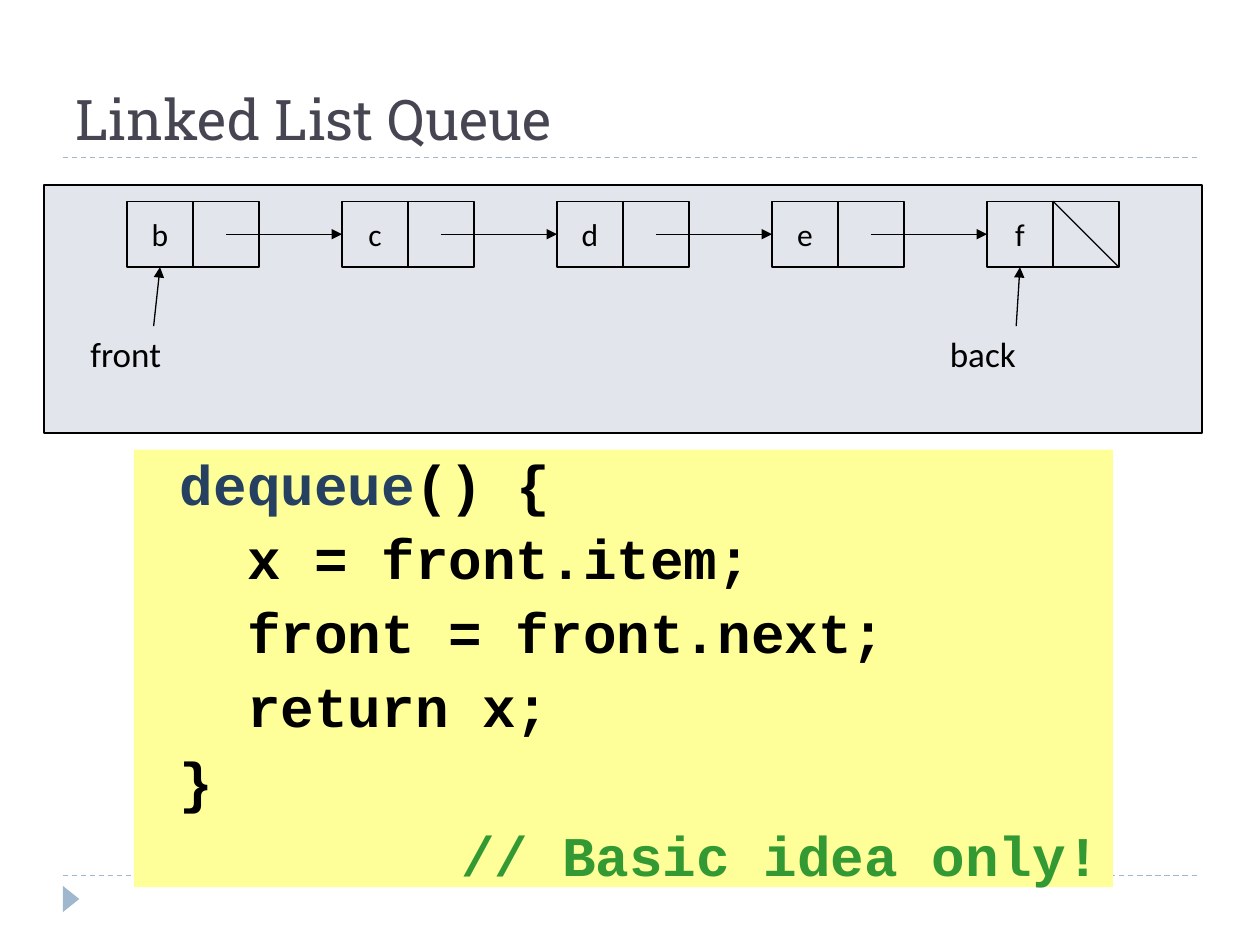
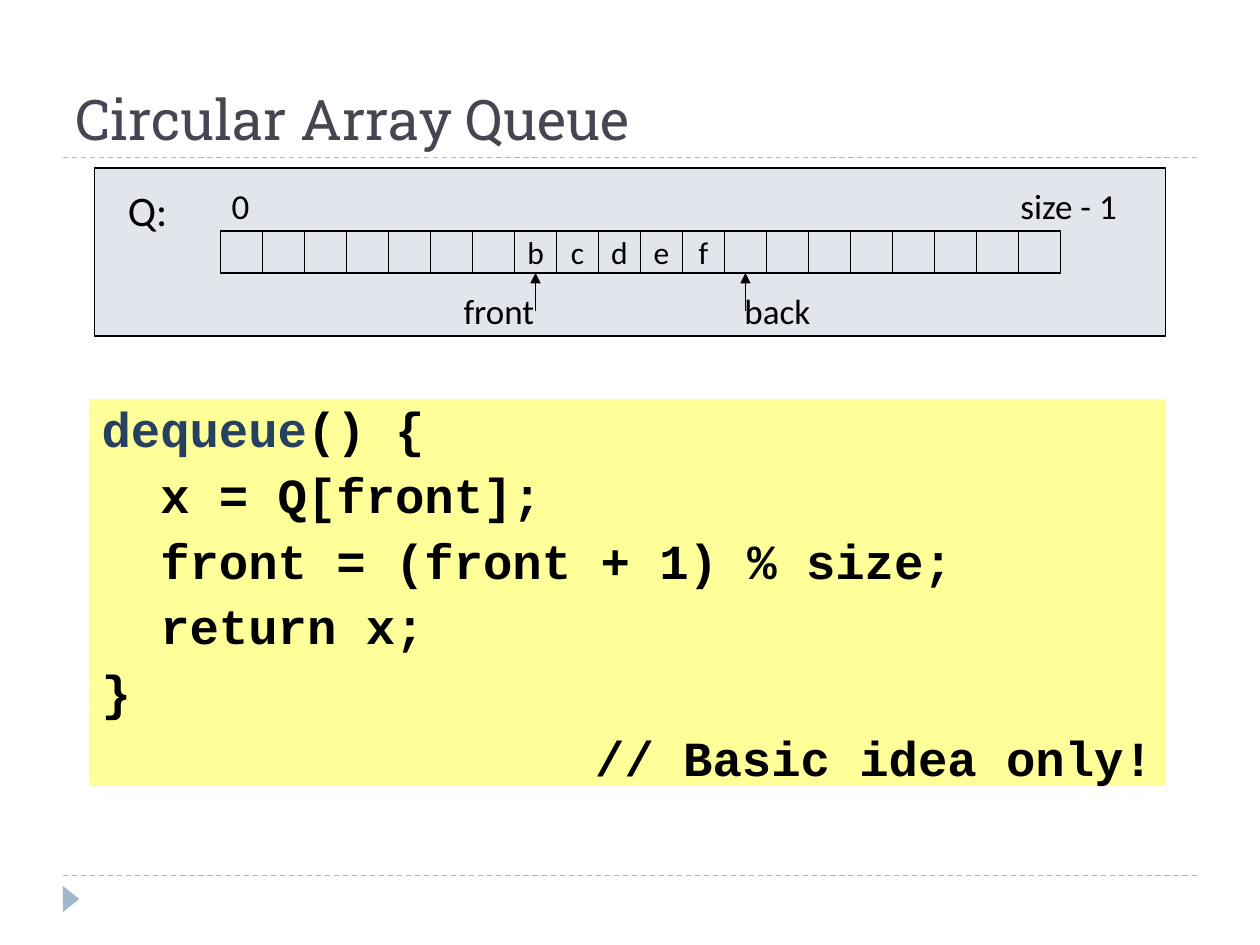
from collections import namedtuple

from lxml.etree import SubElement
from pptx import Presentation
from pptx.dml.color import RGBColor
from pptx.enum.dml import MSO_LINE
from pptx.enum.shapes import MSO_CONNECTOR, MSO_SHAPE
from pptx.enum.text import MSO_ANCHOR, PP_ALIGN
from pptx.oxml.ns import qn
from pptx.util import Pt

BLACK = RGBColor(0x00, 0x00, 0x00)
TITLE_INK = RGBColor(0x46, 0x46, 0x53)
ACCENT = RGBColor(0x9F, 0xB8, 0xCD)
PANEL_FILL = RGBColor(0xE3, 0xE5, 0xED)
CODE_FILL = RGBColor(0xFF, 0xFF, 0x99)
METHOD_INK = RGBColor(0x25, 0x40, 0x61)
COMMENT_INK = RGBColor(0x33, 0x99, 0x33)

TITLE_FONT = "Roboto Slab"
BODY_FONT = "Calibri"
CODE_FONT = "Courier New"
THIN = 0.75

Box = namedtuple("Box", "left top width height")


def style_font(font, name, size, color, bold=False):
    """Set the typeface, size, colour and weight of a font."""
    font.name, font.size, font.bold = name, Pt(size), bold
    font.color.rgb = color


def add_box(page, box, fill=None, outline=BLACK, preset=MSO_SHAPE.RECTANGLE):
    """Draw a preset shape with an optional fill and outline."""
    shape = page.shapes.add_shape(preset, *map(Pt, box))
    shape.shadow.inherit = False
    if fill is None:
        shape.fill.background()
    else:
        shape.fill.solid()
        shape.fill.fore_color.rgb = fill
    if outline is None:
        shape.line.fill.background()
    else:
        shape.line.color.rgb = outline
        shape.line.width = Pt(THIN)
    return shape


def add_cell(page, box, text=""):
    """Draw an outlined cell with an optional centred item."""
    cell = add_box(page, box)
    if text:
        frame = cell.text_frame
        frame.text = text
        frame.word_wrap = False
        frame.vertical_anchor = MSO_ANCHOR.MIDDLE
        para = frame.paragraphs[0]
        para.alignment = PP_ALIGN.CENTER
        style_font(para.runs[0].font, BODY_FONT, 18, BLACK)
    return cell


def add_label(page, box, text, size=20):
    """Place a one-line caption."""
    label = page.shapes.add_textbox(*map(Pt, box))
    label.text_frame.text = text
    label.text_frame.word_wrap = False
    style_font(label.text_frame.paragraphs[0].runs[0].font, BODY_FONT, size, BLACK)
    return label


def add_line(page, start, end, color=BLACK, arrow=False):
    """Draw a straight line, with an arrowhead at its end if asked."""
    line = page.shapes.add_connector(MSO_CONNECTOR.STRAIGHT, *map(Pt, (*start, *end)))
    line.line.color.rgb = color
    line.line.width = Pt(THIN)
    if arrow:
        SubElement(line.line._get_or_add_ln(), qn("a:tailEnd"), type="triangle")
    SubElement(line._element.spPr, qn("a:effectLst"))
    return line


def add_page(deck, title):
    """Add a blank page with the shared rules, marker and title."""
    page = deck.slides.add_slide(deck.slide_layouts[6])
    for height in (500.4, 90):
        rule = add_line(page, (36, height), (684, height), ACCENT)
        rule.line.dash_style = MSO_LINE.DASH
    marker = add_box(page, Box(33.1, 509, 15, 9.4), ACCENT, None, MSO_SHAPE.ISOSCELES_TRIANGLE)
    marker.rotation = 90
    heading = page.shapes.add_textbox(Pt(36), Pt(12), Pt(648), Pt(78))
    frame = heading.text_frame
    frame.text = title
    frame.word_wrap = True
    frame.vertical_anchor = MSO_ANCHOR.BOTTOM
    style_font(frame.paragraphs[0].runs[0].font, TITLE_FONT, 32, TITLE_INK)
    return page


def add_code(page, box, size, margin, body, comment_color):
    """Write the dequeue listing with its closing remark on the right."""
    frame = add_box(page, box, CODE_FILL, None).text_frame
    frame.word_wrap = True
    frame.vertical_anchor = MSO_ANCHOR.MIDDLE
    lines = [[(margin + "dequeue", METHOD_INK), ("() {", BLACK)]]
    lines += [[(margin + "  " + statement, BLACK)] for statement in body]
    lines += [[(margin + "}", BLACK)], [("// Basic idea only!", comment_color)]]
    for number, line in enumerate(lines):
        para = frame.add_paragraph() if number else frame.paragraphs[0]
        para.alignment = PP_ALIGN.LEFT
        para.space_before = Pt(4 if number else 0)
        for text, color in line:
            span = para.add_run()
            span.text = text
            style_font(span.font, CODE_FONT, size, color, bold=True)
    para.alignment = PP_ALIGN.RIGHT


def draw_linked_list(page, box, items):
    """Draw linked nodes with front and back pointers inside a panel."""
    add_box(page, box, PANEL_FILL)
    side, pitch = 37.7, 122.85
    left, top = box.left + 47.4, box.top + 9.3
    middle = top + side / 2
    nodes = []
    for number, item in enumerate(items):
        x = left + number * pitch
        node = add_cell(page, Box(x, top, side, side), item)
        add_cell(page, Box(x + side, top, side, side))
        if nodes:
            link = add_line(page, (x - pitch + 1.5 * side, middle), (x, middle), arrow=True)
            link.end_connect(node, 1)
        nodes.append(node)
    add_line(page, (x + side, top), (x + 2 * side, top + side))

    label_top = box.top + 80.7
    pointers = (("front", 19.4, 86.4, nodes[0]), ("back", 510.5, 90, nodes[-1]))
    for text, offset, width, node in pointers:
        label = add_label(page, Box(box.left + offset, label_top, width, 49.7), text)
        pointer = add_line(page, (0, label_top), (0, top + side), arrow=True)
        pointer.begin_connect(label, 0)
        pointer.end_connect(node, 2)


def draw_circular_array(page, box, items, first, size):
    """Draw the array cells with index captions and pointers inside a panel."""
    add_box(page, box, PANEL_FILL)
    side = 24
    left, top = box.left + 72, box.top + 36
    contents = dict(enumerate(items, first))
    cells = [
        add_cell(page, Box(left + index * side, top, side, side), contents.get(index, ""))
        for index in range(size)
    ]
    add_label(page, Box(box.left + 12, box.top + 6, 42, 36), "Q:", 24)
    for text, offset, width in (("0", 71.3, 26), ("size - 1", 522, 81.4)):
        add_label(page, Box(box.left + offset, box.top + 6, width, 31.7), text)

    pointers = (("front", 203.8, 54.7, first), ("back", 364.3, 56.9, first + len(items)))
    for text, offset, width, index in pointers:
        x = left + (index + 0.5) * side
        pointer = add_line(page, (x, top + side + 21.6), (x, top + side), arrow=True)
        pointer.end_connect(cells[index], 2)
        add_label(page, Box(box.left + offset, box.top + 66, width, 31.7), text)


def main():
    """Build and save the two queue pages."""
    deck = Presentation()
    deck.slide_width, deck.slide_height = Pt(720), Pt(540)

    page = add_page(deck, "Linked List Queue")
    draw_linked_list(page, Box(25.2, 105.7, 661.7, 141.8), "bcdef")
    add_code(page, Box(76.5, 257, 559.5, 250), 32, " ",
             ("x = front.item;", "front = front.next;", "return x;"), COMMENT_INK)

    page = add_page(deck, "Circular Array Queue")
    draw_circular_array(page, Box(54, 96, 612, 96), "bcdef", 7, 20)
    add_code(page, Box(51, 228, 615, 221), 28, "",
             ("x = Q[front];", "front = (front + 1) % size;", "return x;"), BLACK)

    deck.save("out.pptx")


if __name__ == "__main__":
    main()
